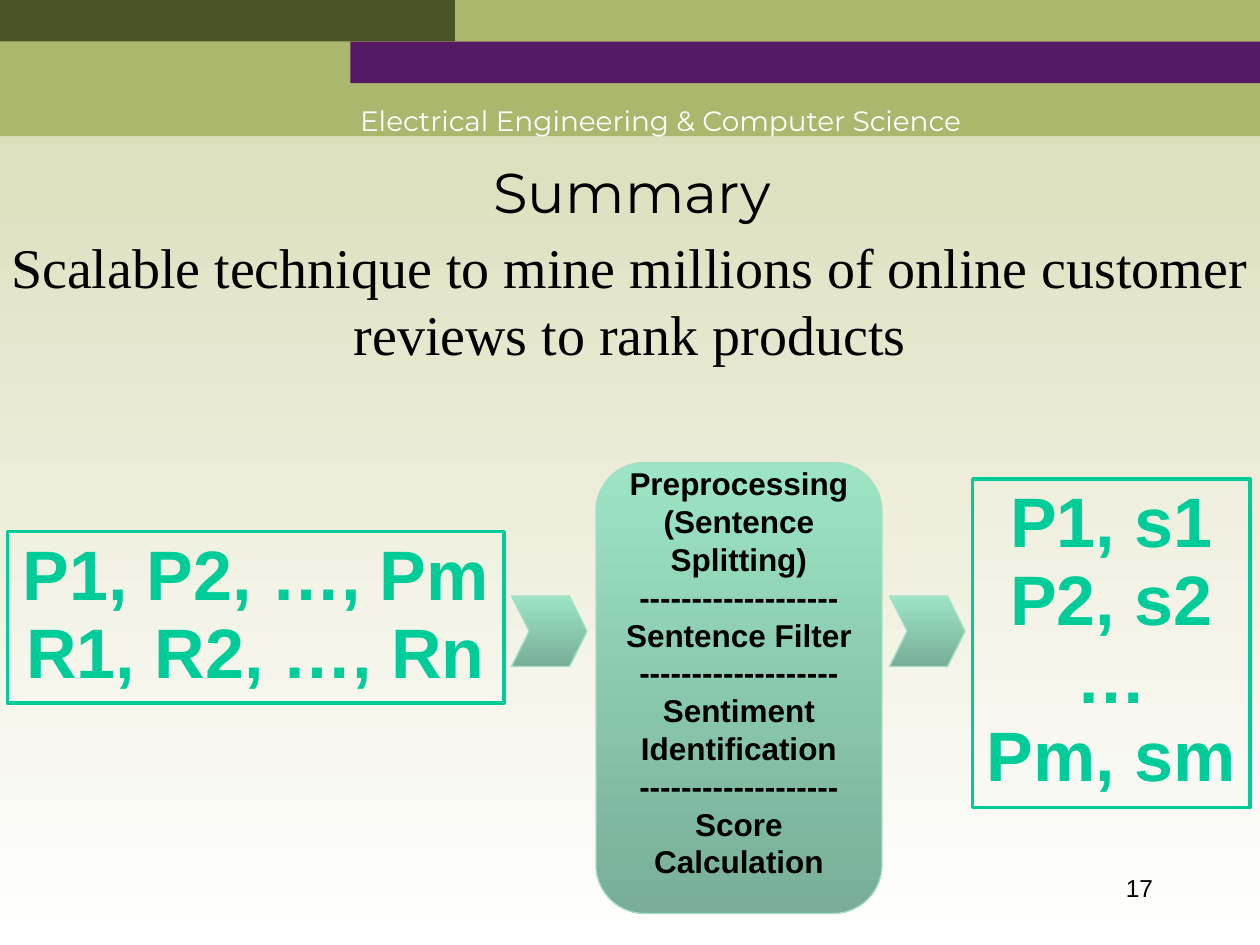
from dataclasses import dataclass

import pptx
import pptx.dml.color
import pptx.enum.shapes
import pptx.enum.text
import pptx.oxml
import pptx.oxml.ns
import pptx.util
from pptx.util import Inches

ALIGN = pptx.enum.text.PP_ALIGN
ANCHOR = pptx.enum.text.MSO_ANCHOR
SHAPE = pptx.enum.shapes.MSO_SHAPE
MINT = ("9CE4C5", "78AE97")
TEAL = "00CC99"


@dataclass
class Box:
    left: float
    top: float
    width: float
    height: float

    def lengths(self) -> tuple:
        return tuple(map(Inches, (self.left, self.top, self.width, self.height)))


@dataclass
class TextStyle:
    size: int
    font: str = "Arial"
    color: str = "000000"
    bold: bool = False
    align: ALIGN = ALIGN.CENTER
    anchor: ANCHOR = ANCHOR.MIDDLE
    insets: tuple = (0.1, 0.1, 0.1, 0.05)
    line_spacing: float = 1.0
    space_before: int = 0
    wrap: bool = True


def rgb(color: str) -> pptx.dml.color.RGBColor:
    return pptx.dml.color.RGBColor.from_string(color)


def apply(target, values: dict) -> None:
    for name, value in values.items():
        setattr(target, name, value)


def fill_vertical(fill, colors: tuple) -> None:
    """Fill with a gradient from the top colour to the bottom colour."""
    fill.gradient()
    fill.gradient_angle = 270
    for stop, color, position in zip(fill.gradient_stops, colors, (0, 1)):
        apply(stop, {"position": position})
        stop.color.rgb = rgb(color)


def write(shape, lines: list[str], style: TextStyle) -> None:
    frame = shape.text_frame
    left, top, right, bottom = map(Inches, style.insets)
    apply(frame, {"word_wrap": style.wrap, "vertical_anchor": style.anchor,
                  "margin_left": left, "margin_top": top,
                  "margin_right": right, "margin_bottom": bottom})
    frame.text = "\n".join(lines)
    for paragraph in frame.paragraphs:
        apply(paragraph, {"alignment": style.align,
                          "line_spacing": style.line_spacing,
                          "space_before": pptx.util.Pt(style.space_before)})
        for run in paragraph.runs:
            apply(run.font, {"size": pptx.util.Pt(style.size),
                             "name": style.font, "bold": style.bold})
            run.font.color.rgb = rgb(style.color)


def add_text(slide, box: Box, text: str, style: TextStyle) -> None:
    write(slide.shapes.add_textbox(*box.lengths()), [text], style)


def add_block(slide, kind: SHAPE, box: Box, outline: str = "", weight: float = 0):
    block = slide.shapes.add_shape(kind, *box.lengths())
    block.shadow.inherit = False
    if outline:
        block.line.color.rgb = rgb(outline)
        block.line.width = pptx.util.Pt(weight)
    else:
        block.line.fill.background()
    return block


def add_band(slide, box: Box, color: str) -> None:
    band = add_block(slide, SHAPE.RECTANGLE, box)
    band.fill.solid()
    band.fill.fore_color.rgb = rgb(color)


def add_stage(slide, kind: SHAPE, box: Box, adjustment: float):
    stage = add_block(slide, kind, box, "A5DEC5", 0.75)
    stage.adjustments[0] = adjustment
    fill_vertical(stage.fill, MINT)
    return stage


def add_data_box(slide, box: Box, lines: list[str]) -> None:
    data_box = add_block(slide, SHAPE.RECTANGLE, box, TEAL, 2)
    data_box.fill.solid()
    data_box.fill.fore_color.rgb = rgb("FFFFFF")
    # A mostly transparent white fill
    white = data_box.fill._xPr.find(".//" + pptx.oxml.ns.qn("a:srgbClr"))
    white.append(pptx.oxml.parse_xml(
        f'<a:alpha {pptx.oxml.ns.nsdecls("a")} val="15000"/>'))
    write(data_box, lines, TextStyle(
        40, color=TEAL, bold=True, anchor=ANCHOR.TOP, wrap=False,
        insets=(0.1, 0.05, 0.1, 0.05), line_spacing=0.93))


def main() -> None:
    deck = pptx.Presentation()
    apply(deck, {"slide_width": Inches(10), "slide_height": Inches(7.5)})
    slide = deck.slides.add_slide(deck.slide_layouts[6])
    fill_vertical(slide.background.fill, ("D8D9B1", "FFFFFF"))

    # Header bands and department name
    add_band(slide, Box(0, 0, 10, 1.08), "ABB76D")
    add_band(slide, Box(2.78, 0.33, 7.22, 0.33), "571963")
    add_band(slide, Box(0, 0, 3.61, 0.33), "495426")
    add_text(slide, Box(2.76, 0.72, 6.67, 0.42),
             "Electrical Engineering & Computer Science",
             TextStyle(16, "Montserrat", "FFFFFF", align=ALIGN.LEFT,
                       anchor=ANCHOR.TOP, space_before=9))

    # Title and statement
    add_text(slide, Box(0.52, 0.99, 9, 1.01), "Summary",
             TextStyle(32, "Montserrat", insets=(0, 0.05, 0, 0)))
    add_text(slide, Box(0, 1.83, 10, 1.58),
             "Scalable technique to mine millions of online customer "
             "reviews to rank products",
             TextStyle(32, "Times New Roman", insets=(0, 0.05, 0, 0.53)))

    # Pipeline: input, processing steps, output
    for chevron_left in (4.06, 7.06):
        add_stage(slide, SHAPE.CHEVRON, Box(chevron_left, 4.73, 0.6, 0.56), 0.25)
    steps = ["Preprocessing\n(Sentence\nSplitting)", "Sentence Filter",
             "Sentiment Identification", "Score Calculation"]
    divider = "\n" + "-" * 19 + "\n"
    processing = add_stage(slide, SHAPE.ROUNDED_RECTANGLE,
                           Box(4.73, 3.67, 2.27, 3.58), 0.17)
    write(processing, divider.join(steps).split("\n"),
          TextStyle(18, bold=True, insets=(0.1, 0.1, 0.1, 0.35)))
    add_data_box(slide, Box(0.06, 4.22, 3.94, 1.36),
                 ["P1, P2, …, Pm", "R1, R2, …, Rn"])
    add_data_box(slide, Box(7.72, 3.8, 2.2, 2.61),
                 ["P1, s1", "P2, s2", "…", "Pm, sm"])

    # Page number
    add_text(slide, Box(7.17, 6.83, 2.08, 0.5), "17",
             TextStyle(14, align=ALIGN.RIGHT, anchor=ANCHOR.TOP))

    deck.save("out.pptx")


if __name__ == "__main__":
    main()
